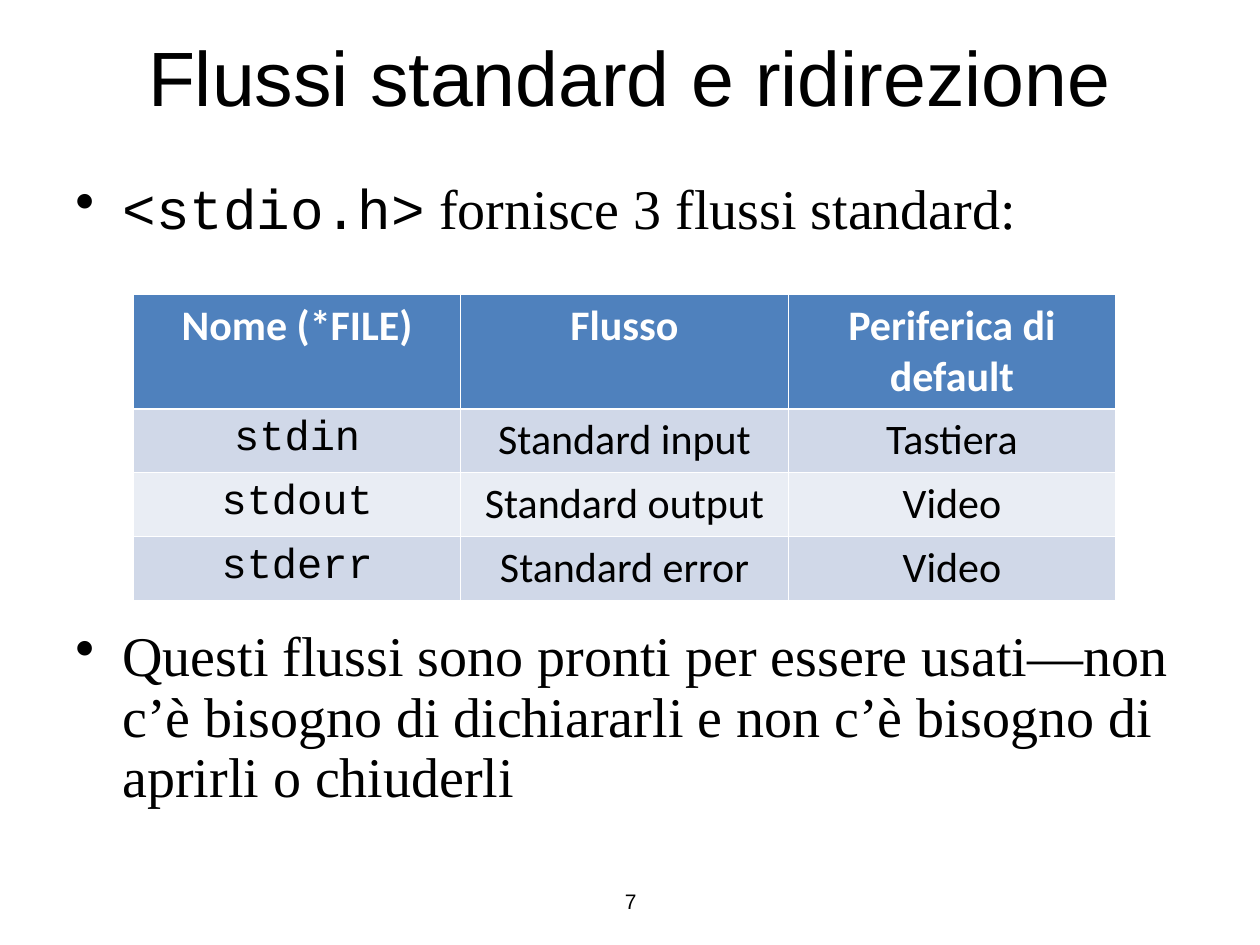
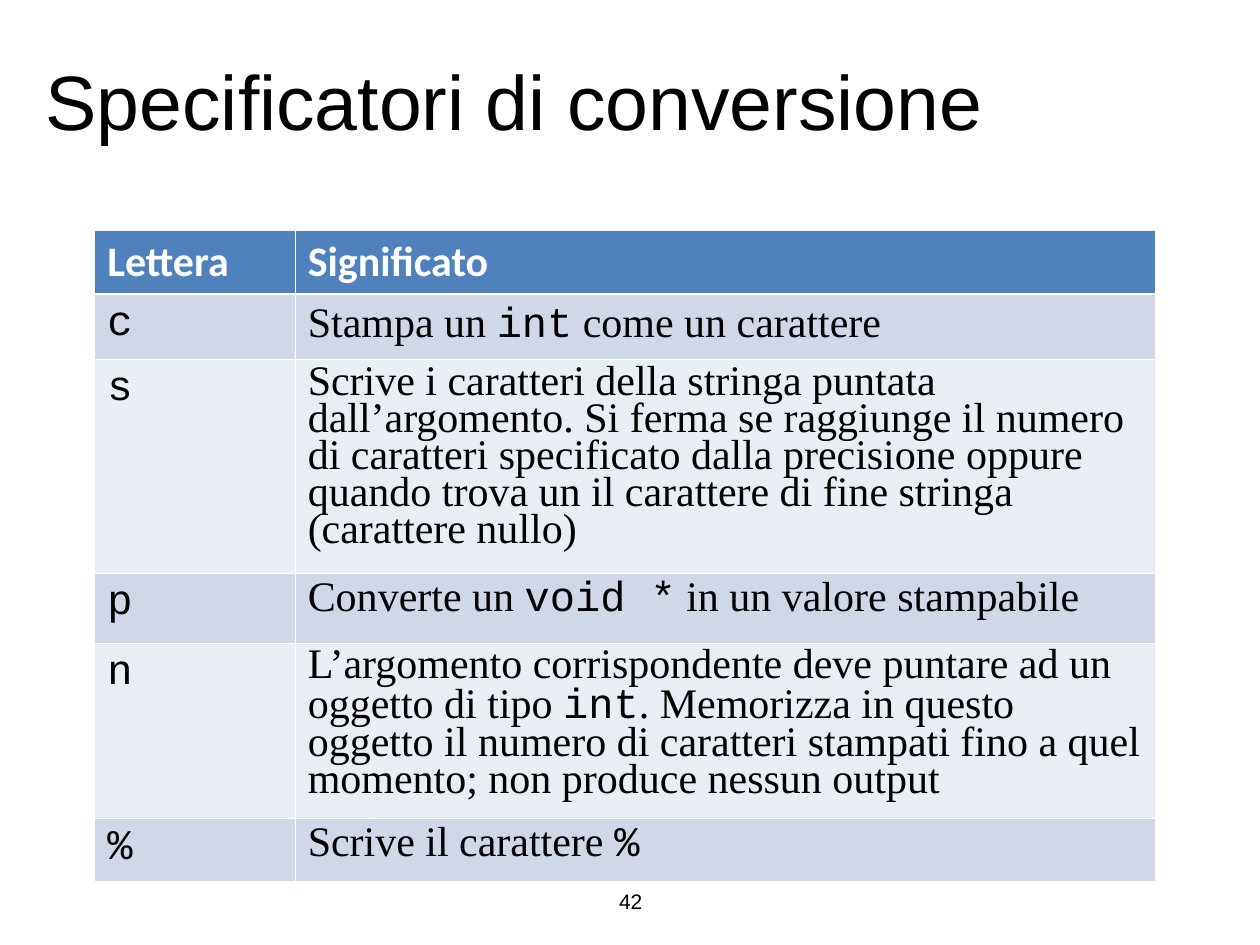
"""Build two slides on standard streams and conversion specifiers."""
import pptx
import pptx.dml.color
import pptx.enum.text
import pptx.oxml
import pptx.oxml.ns
import pptx.util

Cm = pptx.util.Cm
Pt = pptx.util.Pt
RGB = pptx.dml.color.RGBColor
ALIGN = pptx.enum.text.PP_ALIGN
ANCHOR = pptx.enum.text.MSO_ANCHOR

BLACK = RGB(0, 0, 0)
WHITE = RGB(0xFF, 0xFF, 0xFF)
BLUE = RGB(0x4F, 0x81, 0xBD)
BANDS = (RGB(0xD0, 0xD8, 0xE8), RGB(0xE9, 0xED, 0xF4))

SANS = "Arial"
SERIF = "Times New Roman"
CELL = "Calibri"
CODE = "Courier New"
THIN, THICK = 0.45, 1.47

STREAMS = (
    ("Nome (*FILE)", "Flusso", "Periferica di default"),
    ("`stdin`", "Standard input", "Tastiera"),
    ("`stdout`", "Standard output", "Video"),
    ("`stderr`", "Standard error", "Video"),
)
LETTERS = (
    ("Lettera", "Significato"),
    ("`c`", "Stampa un `int` come un carattere"),
    ("`s`", "Scrive i caratteri della stringa puntata dall’argomento. "
            "Si ferma se raggiunge il numero di caratteri specificato dalla "
            "precisione oppure quando trova un il carattere di fine stringa "
            "(carattere nullo)"),
    ("`p`", "Converte un `void *` in un valore stampabile"),
    ("`n`", "L’argomento corrispondente deve puntare ad un oggetto di tipo "
            "`int`. Memorizza in questo oggetto il numero di caratteri "
            "stampati fino a quel momento; non produce nessun output"),
    ("`%`", "Scrive il carattere `%`"),
)


def write(para, text, size=24, font=SERIF, color=BLACK, bold=False,
          align=ALIGN.LEFT, line=None, before=0):
    """Write text in a paragraph, with backticks around code."""
    para.alignment = align
    para.space_before = Pt(before)
    if line:
        para.line_spacing = line
    for i, part in enumerate(text.split("`")):
        if part:
            run = para.add_run()
            run.text = part
            run.font.size = Pt(size)
            run.font.name = CODE if i % 2 else font
            run.font.color.rgb = color
            run.font.bold = bold


def add_box(slide, left, top, width, height, anchor=ANCHOR.TOP):
    """Add a wrapping text box and return its frame."""
    box = slide.shapes.add_textbox(Cm(left), Cm(top), Cm(width), Cm(height))
    frame = box.text_frame
    frame.word_wrap = True
    frame.vertical_anchor = anchor
    return frame


def add_label(slide, area, text, size):
    """Add a centred line of text in the title style."""
    frame = add_box(slide, *area, anchor=ANCHOR.MIDDLE)
    write(frame.paragraphs[0], text, size=size, font=SANS,
          align=ALIGN.CENTER)


def add_slide(deck, title, area, number):
    """Add a blank slide with its title and page number."""
    slide = deck.slides.add_slide(deck.slide_layouts[6])
    add_label(slide, area, title, 44)
    add_label(slide, (8.69, 17.65, 8.05, 1.02), number, 12)
    return slide


def add_points(slide, area, points, gap):
    """Add bulleted points with a gap in points between them."""
    frame = add_box(slide, *area)
    for i, text in enumerate(points):
        para = frame.add_paragraph() if i else frame.paragraphs[0]
        props = para._p.get_or_add_pPr()
        props.set("marL", str(Cm(0.95)))
        props.set("indent", str(Cm(-0.95)))
        space = pptx.oxml.ns.nsdecls("a")
        props.append(pptx.oxml.parse_xml(
            f'<a:buClr {space}><a:srgbClr val="{BLACK}"/></a:buClr>'))
        props.append(pptx.oxml.parse_xml(f'<a:buChar {space} char="•"/>'))
        write(para, text, size=32, line=0.9, before=gap if i else 0)


def edge(cell, **widths):
    """Draw white cell borders, given side names and widths in points."""
    props = cell._tc.get_or_add_tcPr()
    for side in "LRTB":
        props.append(pptx.oxml.parse_xml(
            f'<a:ln{side} {pptx.oxml.ns.nsdecls("a")} '
            f'w="{Pt(widths.get(side, THIN))}"><a:solidFill>'
            f'<a:srgbClr val="{WHITE}"/></a:solidFill></a:ln{side}>'))


def add_grid(slide, left, top, cols, rows, data, style):
    """Add a banded table; style gives the format of each body cell."""
    table = slide.shapes.add_table(
        len(rows), len(cols), Cm(left), Cm(top),
        Cm(sum(cols)), Cm(sum(rows))).table
    for col, width in zip(table.columns, cols):
        col.width = Cm(width)
    for r, texts in enumerate(data):
        table.rows[r].height = Cm(rows[r])
        for c, text in enumerate(texts):
            cell = table.cell(r, c)
            edge(cell, T=THICK if r == 1 else THIN,
                 B=THICK if r == 0 else THIN)
            cell.fill.solid()
            cell.fill.fore_color.rgb = BANDS[(r - 1) % 2] if r else BLUE
            look = style(r, c)
            if r == 0:
                look.update(font=CELL, color=WHITE, bold=True)
            write(cell.text_frame.paragraphs[0], text, **look)


def stream_style(row, col):
    """Return the format of a cell in the table of streams."""
    return {"font": CELL, "align": ALIGN.CENTER}


def letter_style(row, col):
    """Return the format of a cell in the table of letters."""
    return {"line": 0.8} if row > 1 and col else {}


def main():
    """Build and save the deck."""
    deck = pptx.Presentation()
    deck.slide_width, deck.slide_height = Cm(25.4), Cm(19.05)

    slide = add_slide(deck, "Flussi standard e ridirezione",
                      (1.27, 0.48, 22.86, 2.08), "7")
    add_points(slide, (1.27, 3.53, 22.86, 14.12), (
        "`<stdio.h>` fornisce 3 flussi standard:",
        "Questi flussi sono pronti per essere usati—non c’è bisogno di "
        "dichiararli e non c’è bisogno di aprirli o chiuderli"), 221)
    add_grid(slide, 2.69, 5.93, [6.6] * 3, [2.31] + [1.29] * 3,
             STREAMS, stream_style)

    slide = add_slide(deck, "Specificatori di conversione",
                      (0.61, 0.51, 19.53, 3), "42")
    add_grid(slide, 1.91, 4.65, [4.04, 17.35],
             [1.27, 1.32, 4.32, 1.4, 3.53, 1.27], LETTERS, letter_style)
    deck.save("out.pptx")


if __name__ == "__main__":
    main()
